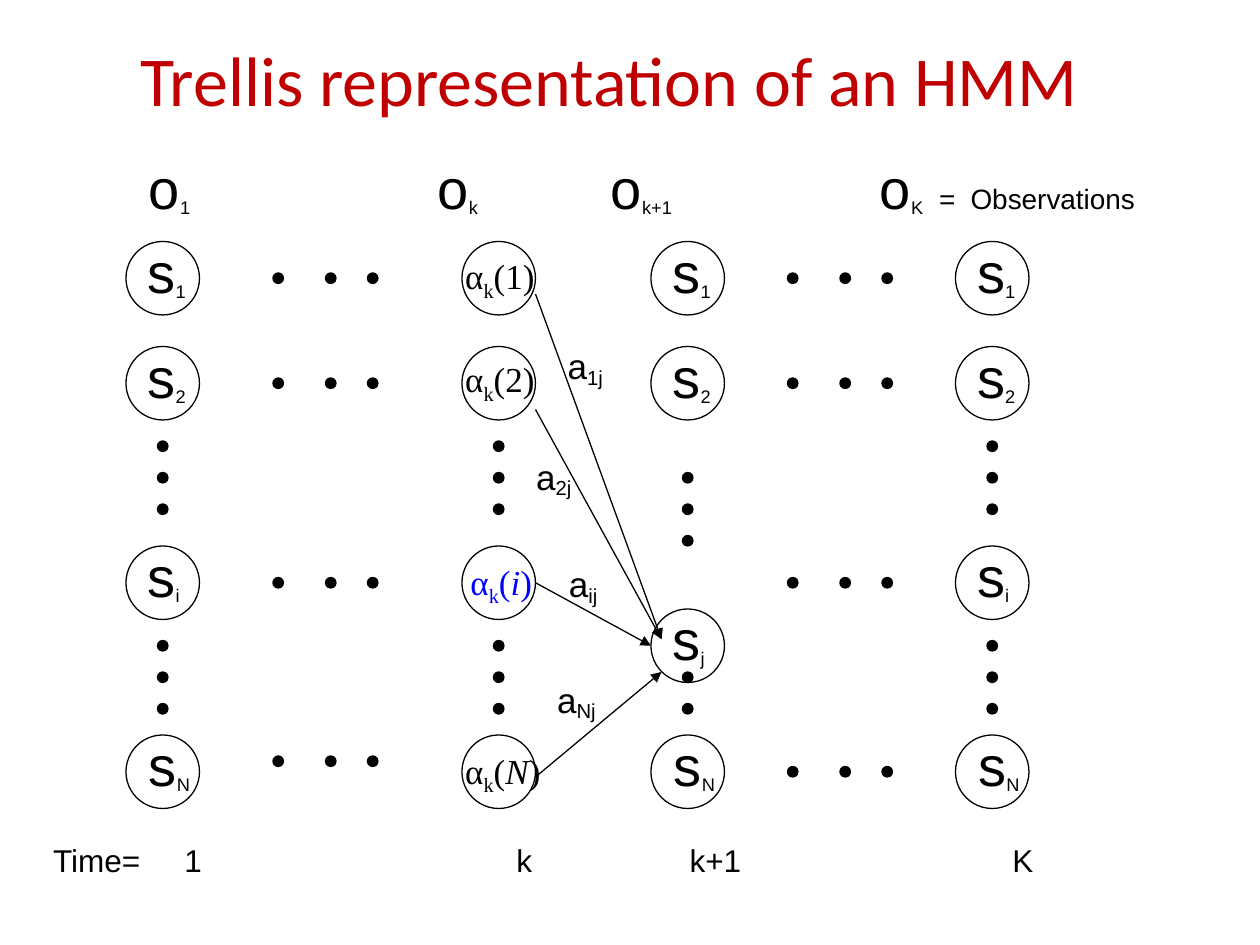
from typing import NamedTuple

from lxml import etree
from pptx import Presentation
from pptx.dml.color import RGBColor
from pptx.enum.shapes import MSO_CONNECTOR, MSO_SHAPE
from pptx.enum.text import MSO_ANCHOR, MSO_AUTO_SIZE, PP_ALIGN
from pptx.oxml.ns import qn
from pptx.util import Pt

PX = 9525
STRAIGHT = MSO_CONNECTOR.STRAIGHT
OVAL = MSO_SHAPE.OVAL
MIDDLE = MSO_ANCHOR.MIDDLE
CENTER = PP_ALIGN.CENTER
FIT_SHAPE = MSO_AUTO_SIZE.SHAPE_TO_FIT_TEXT

BLACK = "000000"
BLUE = "0000FF"
RED = "C00000"
SANS = "Arial"
SERIF = "Times New Roman"

NODE = 56
DOT = 8
DOT_INSET = (NODE - DOT) // 2


class Run(NamedTuple):
    text: str
    size: int
    base: int = 0
    italic: bool = False


class Box(NamedTuple):
    x: int
    y: int
    w: int
    h: int


class Node(NamedTuple):
    sub: str
    y: int
    dx: int
    w: int


class Column(NamedTuple):
    x: int
    nodes: list[Node]
    dots: list[int]


class Alpha(NamedTuple):
    arg: str
    node_y: int
    box: Box
    italic: bool = False
    color: str = BLACK


class Transition(NamedTuple):
    sub: str
    box: Box
    start: tuple[int, int]
    end: tuple[int, int]


S1 = Node("1", 184, 7, 52)
S2 = Node("2", 264, 7, 52)
SI = Node("i", 416, 7, 48)
SJ = Node("j", 464, 7, 48)
SN = Node("N", 560, 8, 56)

OUTER_DOTS = [336, 360, 384, 488, 512, 536]
COLUMNS = [
    Column(96, [S1, S2, SI, SN], OUTER_DOTS),
    Column(496, [S1, S2, SJ, SN], [360, 384, 408, 512, 536]),
    Column(728, [S1, S2, SI, SN], OUTER_DOTS),
]
ALPHA_X = 352
ALPHAS = [
    Alpha("1", S1.y, Box(345, 189, 76, 46)),
    Alpha("2", S2.y, Box(345, 268, 76, 46)),
    Alpha("i", SI.y, Box(349, 422, 70, 46), True, BLUE),
    Alpha("N", SN.y, Box(345, 566, 82, 46), True),
]
ROW_DOTS = {208: [208, 288, 440, 576], 600: [208, 288, 440, 584]}
ROW_DOT_OFFSETS = (0, 40, 72)
TRANSITIONS = [
    Transition("1j", Box(423, 258, 50, 44), (408, 224), (504, 487)),
    Transition("2j", Box(399, 342, 50, 44), (408, 312), (504, 487)),
    Transition("ij", Box(424, 424, 46, 44), (408, 444), (496, 492)),
    Transition("Nj", Box(415, 512, 54, 44), (408, 592), (504, 512)),
]
OBSERVATIONS = [
    Run("\t", 16), Run("o", 32), Run("1\t", 18, -16),
    Run("o", 32), Run("k\t", 18, -16),
    Run("o", 32), Run("k+1\t", 18, -16),
    Run("o", 32), Run("K", 18, -16), Run("\t=\tObservations", 16),
]


def rgb(color: str) -> RGBColor:
    return RGBColor.from_string(color)


def add_circle(shapes, x: int, y: int, size: int, filled: bool) -> None:
    sp = shapes.add_shape(OVAL, x * PX, y * PX, size * PX, size * PX)
    sp.shadow.inherit = False
    if filled:
        sp.fill.solid()
        sp.fill.fore_color.rgb = rgb(BLACK)
    else:
        sp.fill.background()
    sp.line.color.rgb = rgb(BLACK)
    sp.line.width = Pt(0.75)


def add_text(shapes, box: Box, runs: list[Run], font: str = SANS,
             color: str = BLACK, tabs: tuple[int, ...] = ()) -> None:
    tf = shapes.add_textbox(*(v * PX for v in box)).text_frame
    tf.word_wrap = True
    tf.auto_size = FIT_SHAPE
    p = tf.paragraphs[0]
    if tabs:
        tab_list = etree.SubElement(p._p.get_or_add_pPr(), qn("a:tabLst"))
        for pos in tabs:
            etree.SubElement(tab_list, qn("a:tab"), pos=str(pos * PX), algn="l")
    for run in runs:
        r = p.add_run()
        r.text = run.text
        r.font.name = font
        r.font.size = Pt(run.size)
        r.font.color.rgb = rgb(color)
        if run.italic:
            r.font.italic = True
        if run.base:
            r._r.get_or_add_rPr().set("baseline", str(run.base * 1000))


def add_column(shapes, col: Column) -> None:
    group = shapes.add_group_shape().shapes
    for node in col.nodes:
        add_circle(group, col.x, node.y, NODE, False)
        add_text(group, Box(col.x + node.dx, node.y - 8, node.w, 61),
                 [Run("s", 32), Run(node.sub, 18, -16)])
    for y in col.dots:
        add_circle(group, col.x + DOT_INSET, y, DOT, True)


def add_alpha(shapes, alpha: Alpha) -> None:
    add_circle(shapes, ALPHA_X, alpha.node_y, NODE, False)
    add_text(shapes, alpha.box,
             [Run("α", 20), Run("k", 20, -25), Run("(", 20),
              Run(alpha.arg, 20, 0, alpha.italic), Run(")", 20)],
             SERIF, alpha.color)


def add_row_dots(shapes, x: int, y: int) -> None:
    group = shapes.add_group_shape().shapes
    for dx in ROW_DOT_OFFSETS:
        add_circle(group, x + dx, y, DOT, True)


def add_transition(shapes, tr: Transition) -> None:
    line = shapes.add_connector(STRAIGHT, *(v * PX for v in tr.start + tr.end))
    line.line.color.rgb = rgb(BLACK)
    line.line.width = Pt(0.75)
    sp_pr = line._element.spPr
    etree.SubElement(sp_pr.find(qn("a:ln")), qn("a:tailEnd"), type="triangle")
    etree.SubElement(sp_pr, qn("a:effectLst"))
    add_text(shapes, tr.box, [Run("a", 20), Run(tr.sub, 20, -16)])


def set_title(s, text: str) -> None:
    title = s.shapes.title
    title.left, title.top, title.width, title.height = (
        v * PX for v in Box(56, 0, 816, 120))
    tf = title.text_frame
    tf.text = text
    tf.vertical_anchor = MIDDLE
    p = tf.paragraphs[0]
    p.alignment = CENTER
    r = p.runs[0]
    r.font.name = "Calibri"
    r.font.size = Pt(40)
    r.font.color.rgb = rgb(RED)


def main() -> None:
    prs = Presentation()
    prs.slide_width, prs.slide_height = 960 * PX, 720 * PX
    s = prs.slides.add_slide(prs.slide_layouts[5])
    set_title(s, "Trellis representation of an HMM")
    for col in COLUMNS:
        add_column(s.shapes, col)
    for alpha in ALPHAS:
        add_alpha(s.shapes, alpha)
    for y in OUTER_DOTS:
        add_circle(s.shapes, ALPHA_X + DOT_INSET, y, DOT, True)
    for x, rows in ROW_DOTS.items():
        for y in rows:
            add_row_dots(s.shapes, x, y)
    for tr in TRANSITIONS:
        add_transition(s.shapes, tr)
    add_text(s.shapes, Box(80, 112, 880, 61), OBSERVATIONS,
             tabs=(24, 244, 376, 581, 626, 650))
    add_text(s.shapes, Box(31, 636, 776, 38), [Run("Time=\t1\tk\tk+1\tK", 18)],
             tabs=(100, 353, 485, 731))
    prs.save("out.pptx")


if __name__ == "__main__":
    main()
